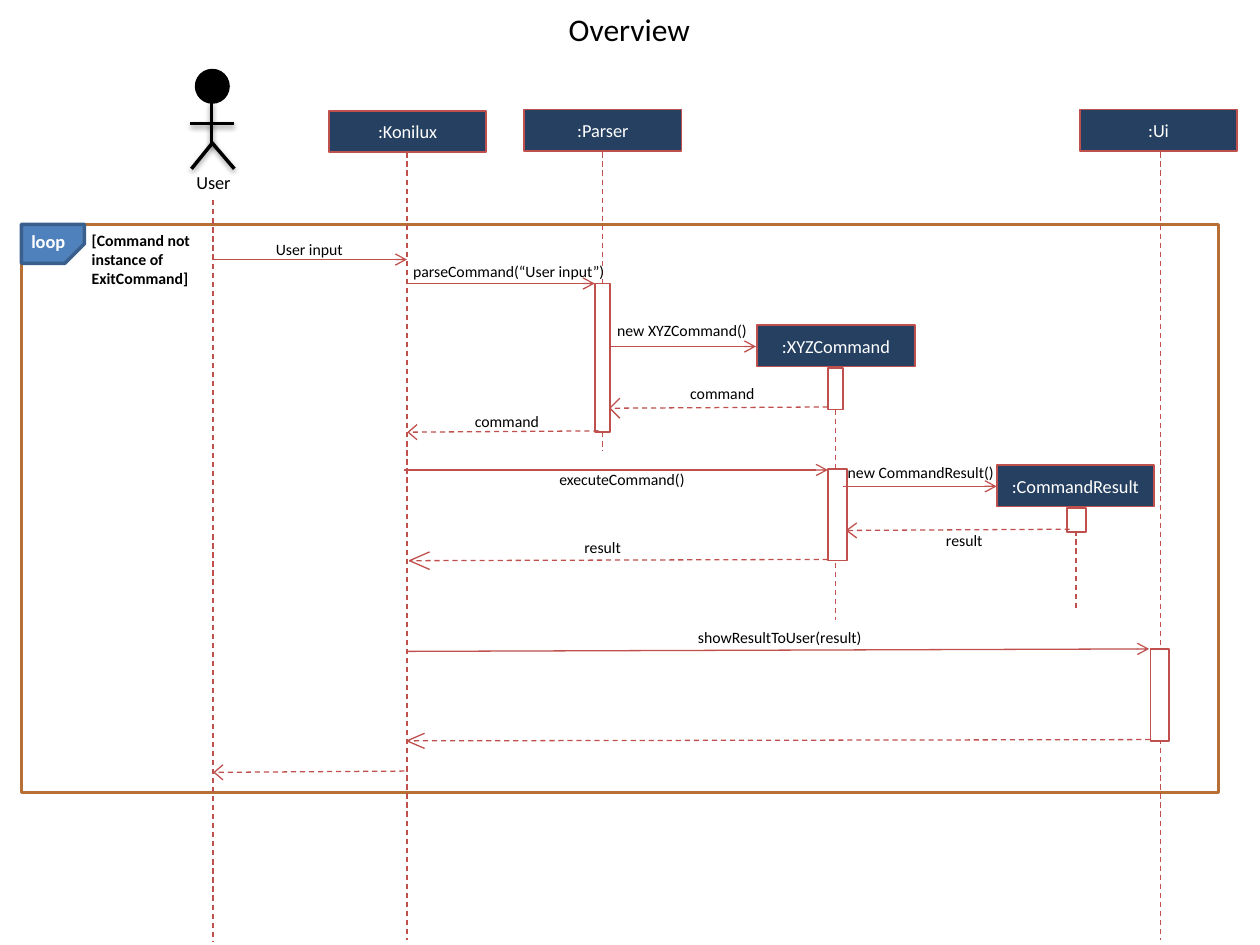
from dataclasses import dataclass

from lxml import etree
from pptx import Presentation
from pptx.dml.color import RGBColor
from pptx.enum import dml, shapes, text
from pptx.oxml import ns
from pptx.util import Emu, Pt

EMU_PER_PX = 9144
FONT = "Calibri"
BLACK = RGBColor(0x00, 0x00, 0x00)
WHITE = RGBColor(0xFF, 0xFF, 0xFF)
NAVY = RGBColor(0x25, 0x40, 0x61)
RED = RGBColor(0xC0, 0x50, 0x4D)
BROWN = RGBColor(0xB7, 0x6F, 0x34)
BLUE = RGBColor(0x4F, 0x81, 0xBD)
DARK_BLUE = RGBColor(0x3A, 0x5F, 0x8C)


@dataclass(frozen=True)
class Box:
    left: int
    top: int
    width: int
    height: int


@dataclass(frozen=True)
class Participant:
    name: str
    left: int
    top: int


@dataclass(frozen=True)
class Lifeline:
    x: int
    top: int
    bottom: int


@dataclass(frozen=True)
class Message:
    start: tuple[int, int]
    end: tuple[int, int]


@dataclass(frozen=True)
class Reply:
    start: tuple[int, int]
    end: tuple[int, int]
    head_length: int
    head_rise: int


@dataclass(frozen=True)
class Label:
    content: str
    left: int
    top: int
    width: int


PARTICIPANTS = [
    Participant(":Konilux", 261, 88),
    Participant(":Parser", 416, 87),
    Participant(":XYZCommand", 601, 258),
    Participant(":CommandResult", 791, 369),
    Participant(":Ui", 857, 87),
]
LIFELINES = [
    Lifeline(169, 159, 748),
    Lifeline(323, 121, 746),
    Lifeline(478, 121, 358),
    Lifeline(663, 325, 492),
    Lifeline(854, 421, 483),
    Lifeline(921, 121, 746),
]
ACTIVATIONS = [
    Box(472, 225, 12, 118),
    Box(657, 292, 12, 33),
    Box(657, 372, 15, 73),
    Box(847, 403, 15, 19),
    Box(913, 515, 15, 73),
]
MESSAGES = [
    Message((169, 206), (323, 206)),
    Message((323, 225), (472, 225)),
    Message((485, 275), (600, 275)),
    Message((321, 373), (657, 373)),
    Message((669, 386), (791, 386)),
    Message((324, 517), (912, 515)),
]
REPLIES = [
    Reply((657, 323), (484, 324), 8, 8),
    Reply((475, 342), (324, 343), 7, 6),
    Reply((849, 420), (672, 421), 8, 6),
    Reply((657, 444), (325, 445), 16, 7),
    Reply((913, 587), (323, 588), 14, 6),
    Reply((321, 612), (170, 613), 7, 6),
]
LABELS = [
    Label("User input", 209, 185, 81),
    Label("parseCommand(“User input”)", 318, 203, 173),
    Label("new XYZCommand()", 480, 250, 125),
    Label("command", 538, 300, 76),
    Label("command", 367, 322, 76),
    Label("executeCommand()", 434, 368, 121),
    Label("new CommandResult()", 663, 362, 137),
    Label("result", 741, 416, 104),
    Label("result", 454, 422, 104),
    Label("showResultToUser(result)", 544, 493, 152),
]
ACTOR_LIMBS = [
    Message((168, 81), (168, 115)),
    Message((186, 98), (151, 98)),
    Message((169, 113), (152, 134)),
    Message((168, 113), (186, 134)),
]


def px(value: int) -> Emu:
    return Emu(value * EMU_PER_PX)


def write_text(shape, content: str, *, size: float = 9, color: RGBColor = BLACK, bold: bool = False,
               align=text.PP_ALIGN.LEFT, anchor=text.MSO_ANCHOR.TOP, wrap: bool = True) -> None:
    frame = shape.text_frame
    frame.word_wrap = wrap
    frame.vertical_anchor = anchor
    paragraph = frame.paragraphs[0]
    paragraph.alignment = align
    run = paragraph.add_run()
    run.text = content
    run.font.name = FONT
    run.font.size = Pt(size)
    run.font.bold = bold
    run.font.color.rgb = color


def add_label(parent, content: str, box: Box, **style) -> None:
    shape = parent.add_textbox(px(box.left), px(box.top), px(box.width), px(box.height))
    write_text(shape, content, **style)
    shape.text_frame.margin_right = 0
    shape.text_frame.auto_size = text.MSO_AUTO_SIZE.SHAPE_TO_FIT_TEXT


def add_block(parent, box: Box, fill: RGBColor, outline: RGBColor, width: float = 1,
              kind=shapes.MSO_SHAPE.RECTANGLE):
    shape = parent.add_shape(kind, px(box.left), px(box.top), px(box.width), px(box.height))
    shape.shadow.inherit = False
    shape.fill.solid()
    shape.fill.fore_color.rgb = fill
    shape.line.color.rgb = outline
    shape.line.width = Pt(width)
    return shape


def add_line(parent, start: tuple[int, int], end: tuple[int, int], *, color: RGBColor = RED,
             width: float = 0.75, dashed: bool = False, arrow: bool = False, shadow: bool = False) -> None:
    connector = parent.add_connector(shapes.MSO_CONNECTOR.STRAIGHT, *map(px, start + end))
    connector.line.color.rgb = color
    connector.line.width = Pt(width)
    if dashed:
        connector.line.dash_style = dml.MSO_LINE.DASH
    properties = connector.element.spPr
    if arrow:
        etree.SubElement(properties.find(ns.qn("a:ln")), ns.qn("a:tailEnd"), type="arrow")
    effects = etree.SubElement(properties, ns.qn("a:effectLst"))
    if shadow:
        outer = etree.SubElement(effects, ns.qn("a:outerShdw"), blurRad=str(Pt(3.1)),
                                 dist=str(Pt(1.6)), dir="5400000", rotWithShape="0")
        shade = etree.SubElement(outer, ns.qn("a:srgbClr"), val=str(BLACK))
        etree.SubElement(shade, ns.qn("a:alpha"), val="38000")


def add_reply(slide, reply: Reply) -> None:
    group = slide.shapes.add_group_shape().shapes
    add_line(group, reply.start, reply.end, dashed=True)
    x, y = reply.end
    for rise in (-reply.head_rise, reply.head_rise):
        add_line(group, reply.end, (x + reply.head_length, y + rise))


def add_actor(slide) -> None:
    group = slide.shapes.add_group_shape().shapes
    add_block(group, Box(156, 56, 25, 25), BLACK, BLACK, 2, shapes.MSO_SHAPE.OVAL)
    for limb in ACTOR_LIMBS:
        add_line(group, limb.start, limb.end, color=BLACK, width=2, shadow=True)
    add_label(group, "User", Box(146, 131, 59, 28), size=10.5)


def add_title(slide) -> None:
    title = slide.shapes.title
    title.left, title.top, title.width, title.height = map(px, (441, 3, 117, 40))
    write_text(title, "Overview", size=18, align=text.PP_ALIGN.CENTER, wrap=False)
    title.text_frame.auto_size = text.MSO_AUTO_SIZE.SHAPE_TO_FIT_TEXT


def add_loop_frame(slide) -> None:
    add_block(slide.shapes, Box(17, 178, 950, 451), WHITE, BROWN, 2)
    tag = add_block(slide.shapes, Box(17, 178, 50, 31), BLUE, DARK_BLUE, 2,
                    shapes.MSO_SHAPE.SNIP_1_RECTANGLE)
    tag.adjustments[0] = 0.5
    tag.rotation = 180
    tag.element.spPr.find(ns.qn("a:xfrm")).set("flipH", "1")
    add_label(slide.shapes, "loop", Box(15, 178, 86, 28), size=10.5, color=WHITE, bold=True)
    add_label(slide.shapes, "[Command not instance of ExitCommand]", Box(63, 178, 100, 56), bold=True)


def main() -> None:
    presentation = Presentation()
    presentation.slide_width, presentation.slide_height = px(1000), px(750)
    slide = presentation.slides.add_slide(presentation.slide_layouts[5])
    add_title(slide)
    add_loop_frame(slide)
    add_actor(slide)
    for lifeline in LIFELINES:
        add_line(slide.shapes, (lifeline.x, lifeline.top), (lifeline.x, lifeline.bottom), dashed=True)
    for participant in PARTICIPANTS:
        block = add_block(slide.shapes, Box(participant.left, participant.top, 125, 33), NAVY, RED)
        write_text(block, participant.name, size=10.5, color=WHITE,
                   align=text.PP_ALIGN.CENTER, anchor=text.MSO_ANCHOR.MIDDLE)
    for activation in ACTIVATIONS:
        add_block(slide.shapes, activation, WHITE, RED)
    for message in MESSAGES:
        add_line(slide.shapes, message.start, message.end, arrow=True)
    for reply in REPLIES:
        add_reply(slide, reply)
    for label in LABELS:
        add_label(slide.shapes, label.content, Box(label.left, label.top, label.width, 25))
    presentation.save("out.pptx")


if __name__ == "__main__":
    main()
